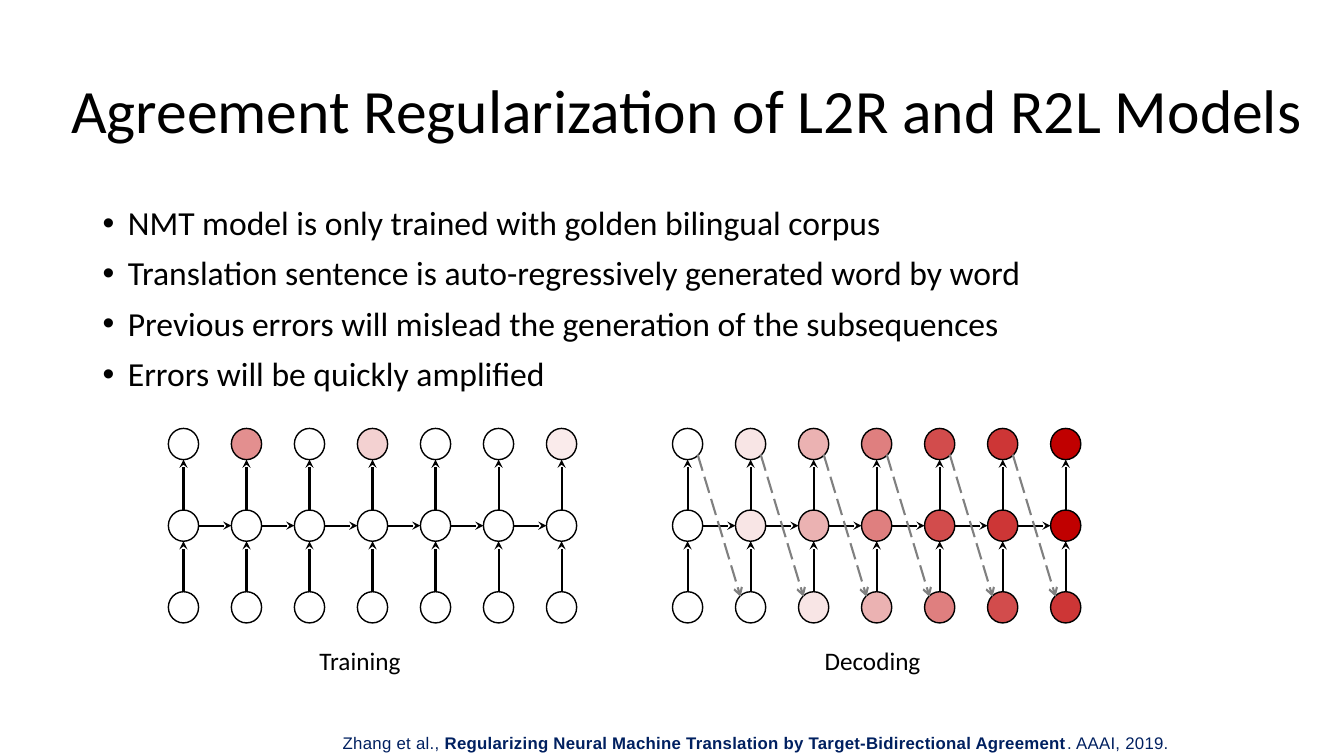
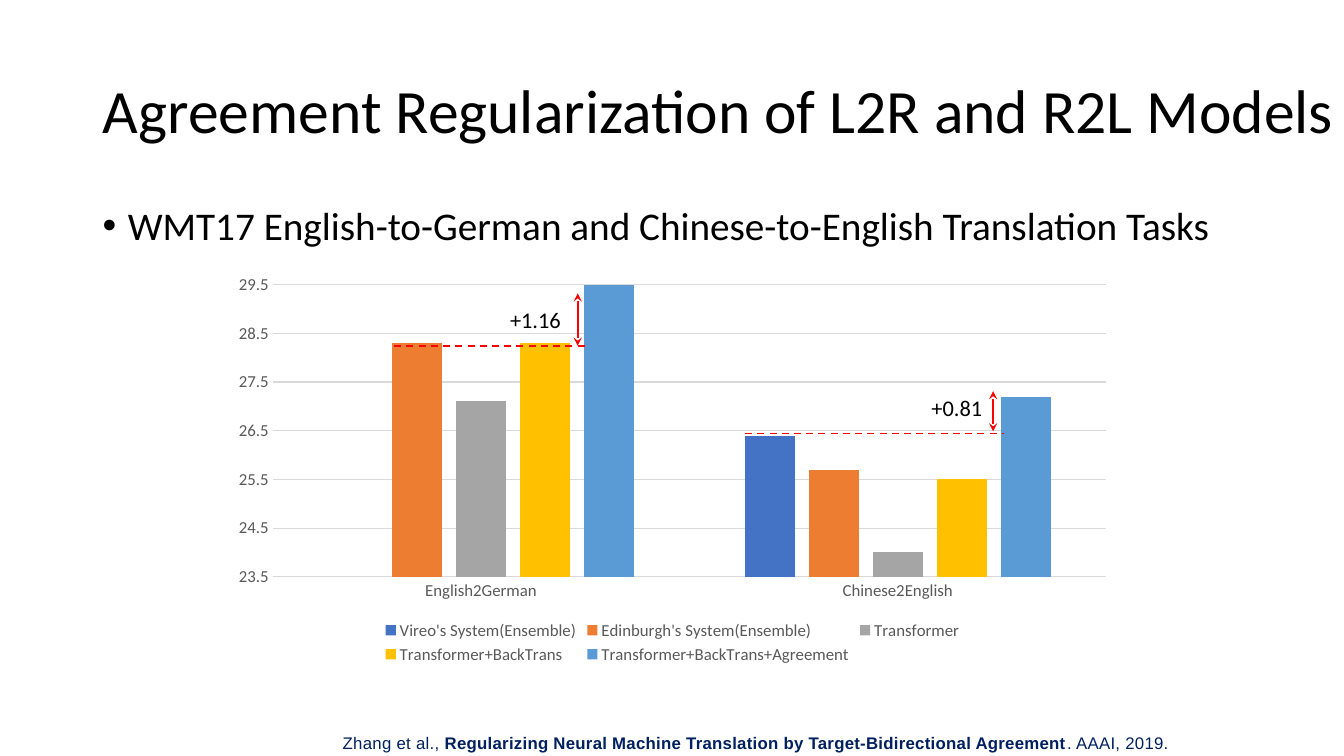
"""Build two slides on agreement regularization of translation models."""
from dataclasses import dataclass

from lxml import etree
from pptx import Presentation
from pptx.chart.data import CategoryChartData
from pptx.dml.color import RGBColor
from pptx.enum import chart as charts, dml, shapes, text
from pptx.oxml.ns import qn
from pptx.util import Inches, Pt


@dataclass(frozen=True)
class Theme:
    font: str = "Calibri"
    footer_font: str = "Arial"
    black: RGBColor = RGBColor.from_string("000000")
    navy: RGBColor = RGBColor.from_string("002060")
    error: RGBColor = RGBColor.from_string("C00000")
    red: RGBColor = RGBColor.from_string("FF0000")
    feedback: RGBColor = RGBColor.from_string("808080")
    axis_text: RGBColor = RGBColor.from_string("595959")
    grid: RGBColor = RGBColor.from_string("D9D9D9")
    series: tuple = ("4472C4", "ED7D31", "A5A5A5", "FFC000", "5B9BD5")
    title_size: int = 44
    task_size: int = 28
    bullet_size: int = 24
    label_size: int = 18
    gain_size: int = 16
    small_size: int = 12


theme = Theme()


def add_text(slide, box, paragraphs, size, color=theme.black, name=theme.font, bullet=False, wrap=True):
    shape = slide.shapes.add_textbox(*map(Inches, box))
    frame = shape.text_frame
    frame.word_wrap = wrap
    for index, content in enumerate(paragraphs):
        paragraph = frame.add_paragraph() if index else frame.paragraphs[0]
        paragraph.text = content
        if bullet:
            paragraph.line_spacing = 0.9
            if index:
                paragraph.space_before = Pt(10)
            properties = paragraph._p.get_or_add_pPr()
            properties.set("marL", str(Inches(0.25)))
            properties.set("indent", str(-Inches(0.25)))
            etree.SubElement(properties, qn("a:buFont"), typeface="Arial")
            etree.SubElement(properties, qn("a:buChar"), char="•")
        paragraph.font.name = name
        paragraph.font.size = Pt(size)
        paragraph.font.color.rgb = color
    return shape


def add_line(container, start, end, color, width, dash=None, head=None, tail=None):
    points = map(Inches, (*start, *end))
    connector = container.add_connector(shapes.MSO_CONNECTOR.STRAIGHT, *points)
    connector.line.color.rgb = color
    connector.line.width = Pt(width)
    if dash:
        connector.line.dash_style = dash
    properties = connector.element.spPr
    for tag, arrow in (("a:headEnd", head), ("a:tailEnd", tail)):
        if arrow:
            etree.SubElement(properties.find(qn("a:ln")), qn(tag), type=arrow)
    etree.SubElement(properties, qn("a:effectLst"))


presentation = Presentation()
presentation.slide_width = Inches(13.33)
presentation.slide_height = Inches(7.5)

slides = []
for title_left, title_width in ((0.57, 12.49), (0.92, 12.42)):
    slide = presentation.slides.add_slide(presentation.slide_layouts[5])
    title = slide.shapes.title
    title.left, title.top = Inches(title_left), Inches(0.4)
    title.width, title.height = Inches(title_width), Inches(1.45)
    frame = title.text_frame
    frame.text = "Agreement Regularization of L2R and R2L Models"
    frame.auto_size = text.MSO_AUTO_SIZE.NONE
    frame.vertical_anchor = text.MSO_ANCHOR.MIDDLE
    paragraph = frame.paragraphs[0]
    paragraph.alignment = text.PP_ALIGN.CENTER
    paragraph.line_spacing = 0.9
    paragraph.font.name = theme.font
    paragraph.font.size = Pt(theme.title_size)
    paragraph.font.color.rgb = theme.black

    citation = add_text(slide, (2.55, 7.29, 9.89, 0.18), ["Zhang et al., "],
                        theme.small_size, theme.navy, theme.footer_font)
    frame = citation.text_frame
    frame.margin_left = frame.margin_right = frame.margin_top = frame.margin_bottom = 0
    paragraph = frame.paragraphs[0]
    paragraph.alignment = text.PP_ALIGN.CENTER
    paragraph.line_spacing = 0.9
    work = paragraph.add_run()
    work.text = "Regularizing Neural Machine Translation by Target-Bidirectional Agreement"
    work.font.bold = True
    paragraph.add_run().text = ". AAAI, 2019."
    for properties in citation.element.iter(qn("a:defRPr")):
        properties.set("spc", "20")
    slides.append(slide)

network_slide, result_slide = slides
body_box = (0.92, 2, 11.5, 4.76)

add_text(network_slide, body_box, [
    "NMT model is only trained with golden bilingual corpus",
    "Translation sentence is auto-regressively generated word by word",
    "Previous errors will mislead the generation of the subsequences",
    "Errors will be quickly amplified",
], theme.bullet_size, bullet=True)

node_width, node_height = 0.3, 0.31
column_step = 3.75 / 6
row_tops = (4.25, 5.06, 5.87)
clean = [0] * 7
growing = [0, 10, 30, 50, 70, 79, 100]
networks = (
    ("Training", 1.67, (3.07, 1.01), ([0, 44, 0, 18, 0, 0, 8], clean, clean), False),
    ("Decoding", 6.67, (8.08, 1.17), (growing, growing, [0] + growing[:-1]), True),
)
for label, left, (label_left, label_width), opacity_rows, feeds_back in networks:
    group = network_slide.shapes.add_group_shape().shapes
    columns = [left + index * column_step for index in range(7)]
    for top, opacities in zip(row_tops, opacity_rows):
        for x, opacity in zip(columns, opacities):
            node = group.add_shape(shapes.MSO_SHAPE.OVAL, Inches(x), Inches(top),
                                   Inches(node_width), Inches(node_height))
            node.shadow.inherit = False
            node.line.color.rgb = theme.black
            node.line.width = Pt(1)
            if opacity:
                node.fill.solid()
                node.fill.fore_color.rgb = theme.error
                color = node.element.spPr.find(qn("a:solidFill"))[0]
                etree.SubElement(color, qn("a:alpha"), val=str(opacity * 1000))
            else:
                node.fill.background()
    middle = row_tops[1] + node_height / 2
    for x in columns:
        center = x + node_width / 2
        for upper, lower in zip(row_tops, row_tops[1:]):
            add_line(group, (center, lower), (center, upper + node_height),
                     theme.black, 1.5, tail="stealth")
    for x, following in zip(columns, columns[1:]):
        add_line(group, (x + node_width, middle), (following, middle),
                 theme.black, 1.5, tail="stealth")
        if feeds_back:
            add_line(group, (x + 0.25, row_tops[0] + 0.26), (following + 0.05, row_tops[2] + 0.05),
                     theme.feedback, 1.5, dml.MSO_LINE.LONG_DASH, tail="arrow")
    add_text(network_slide, (label_left, 6.35, label_width, 0.4), [label], theme.label_size, wrap=False)

add_text(result_slide, body_box, ["WMT17 English-to-German and Chinese-to-English Translation Tasks"],
         theme.task_size, bullet=True)

scores = CategoryChartData()
scores.categories = ["English2German", "Chinese2English"]
for system, values in (
    ("Vireo's System(Ensemble)", (None, 26.4)),
    ("Edinburgh's System(Ensemble)", (28.3, 25.7)),
    ("Transformer", (27.1, 24)),
    ("Transformer+BackTrans", (28.3, 25.5)),
    ("Transformer+BackTrans+Agreement", (29.5, 27.2)),
):
    scores.add_series(system, values)
chart = result_slide.shapes.add_chart(charts.XL_CHART_TYPE.COLUMN_CLUSTERED, Inches(2.19), Inches(2.5),
                                      Inches(8.96), Inches(4.13), scores).chart
chart.has_title = False
chart.font.name = theme.font
chart.font.size = Pt(theme.small_size)
chart.font.color.rgb = theme.axis_text
chart.has_legend = True
chart.legend.position = charts.XL_LEGEND_POSITION.BOTTOM
chart.legend.include_in_layout = False
plot = chart.plots[0]
plot.gap_width = 219
plot.overlap = -27
plot.vary_by_categories = False
for series, color in zip(plot.series, theme.series):
    series.format.fill.solid()
    series.format.fill.fore_color.rgb = RGBColor.from_string(color)
for axis in (chart.category_axis, chart.value_axis):
    axis.major_tick_mark = axis.minor_tick_mark = charts.XL_TICK_MARK.NONE
value_axis = chart.value_axis
value_axis.minimum_scale = 23.5
value_axis.maximum_scale = 30
value_axis.major_unit = 1
value_axis.format.line.fill.background()
value_axis.has_major_gridlines = True
for line in (chart.category_axis.format.line, value_axis.major_gridlines.format.line):
    line.color.rgb = theme.grid
    line.width = Pt(0.75)

for gain, label_left, label_top, arrow_x, arrow_top, arrow_bottom, base_left, base_right, base_y in (
    ("+1.16", 4.96, 2.99, 5.73, 2.91, 3.43, 3.91, 5.82, 3.43),
    ("+0.81", 9.14, 3.86, 9.85, 3.88, 4.28, 7.39, 9.96, 4.3),
):
    add_line(result_slide.shapes, (arrow_x, arrow_top), (arrow_x, arrow_bottom),
             theme.red, 1.25, head="stealth", tail="stealth")
    add_text(result_slide, (label_left, label_top, 0.71, 0.37), [gain], theme.gain_size, wrap=False)
    add_line(result_slide.shapes, (base_left, base_y), (base_right, base_y),
             theme.red, 1.25, dml.MSO_LINE.DASH)

presentation.save("out.pptx")
